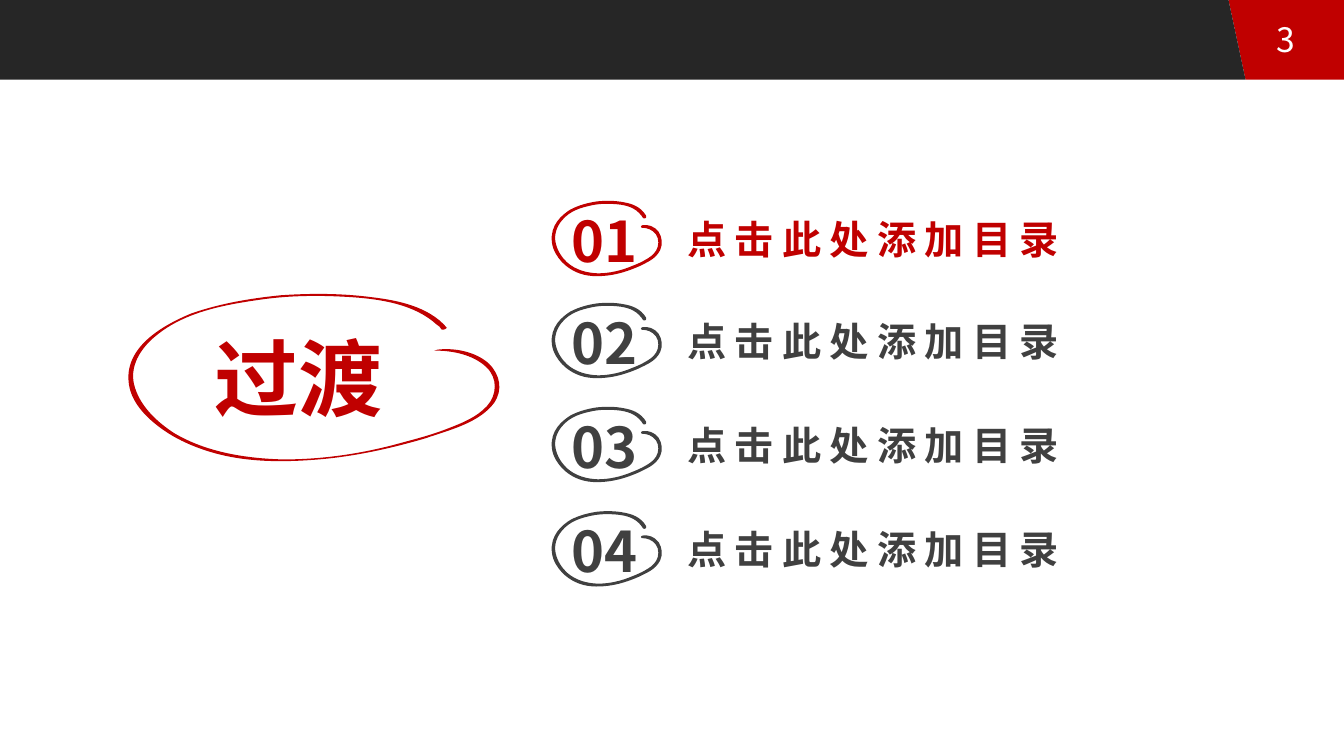
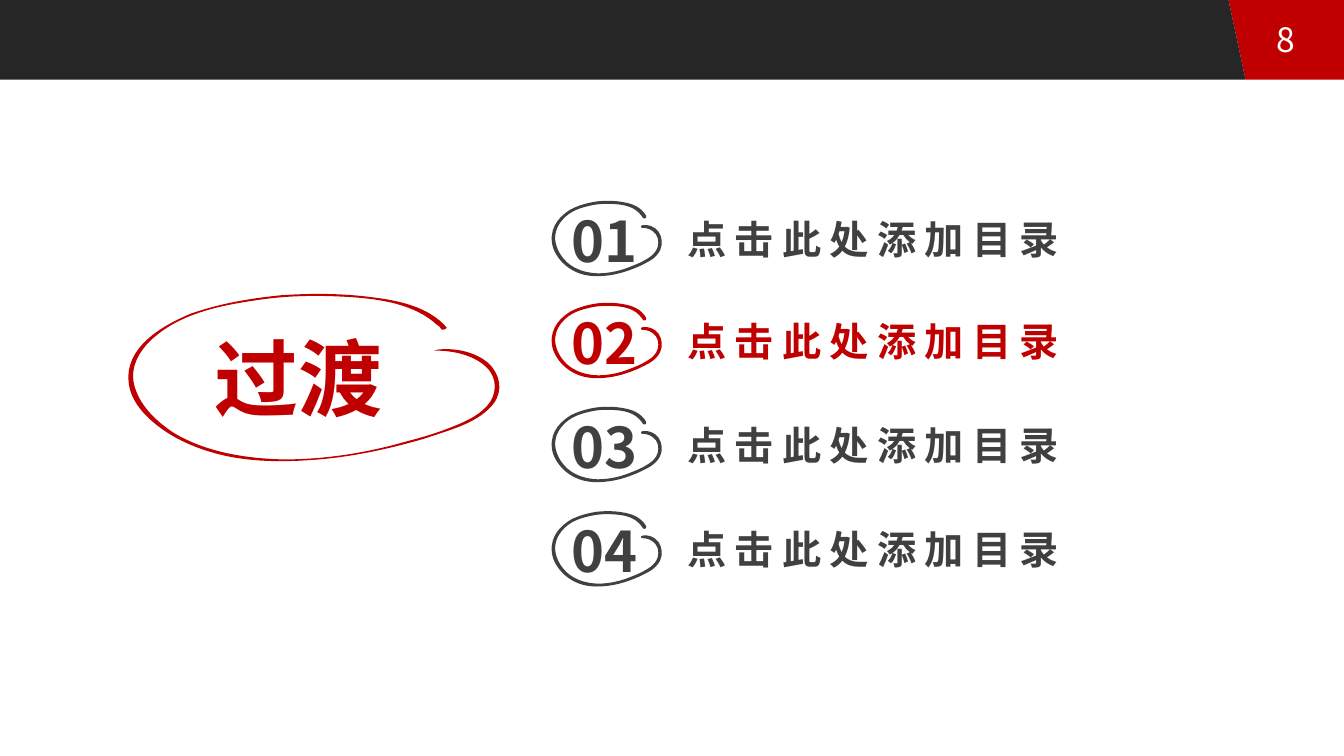
from lxml import etree
from pptx import Presentation
from pptx.dml.color import RGBColor
from pptx.enum import text
from pptx.oxml import ns
from pptx.util import Cm, Pt

# Shared style
RED = RGBColor(0xC0, 0x00, 0x00)
DARK = RGBColor(0x26, 0x26, 0x26)
GRAY = RGBColor(0x40, 0x40, 0x40)
WHITE = RGBColor(0xFF, 0xFF, 0xFF)
FONT = "Noto Sans CJK SC"
WIDTH, HEIGHT = 33.87, 19.05
BAND_HEIGHT, BAND_TOP_END, BAND_BOTTOM_END = 2.01, 30.96, 31.39

# Brush ring on a 377 by 169 grid: start point, then cubic curves
RING_GRID = (377, 169)
RING_START = (321, 34)
RING_CURVES = (
    (303, 13, 272, 7, 247, 4), (217, 0, 187, 0, 157, 2),
    (127, 5, 97, 10, 68, 20), (39, 32, 0, 54, 6, 91),
    (9, 110, 25, 125, 39, 135), (53, 145, 69, 152, 85, 157),
    (120, 168, 158, 168, 194, 165), (230, 162, 266, 154, 300, 144),
    (323, 136, 353, 129, 368, 109), (377, 96, 374, 81, 363, 70),
    (350, 58, 329, 54, 312, 56), (311, 56, 307, 58, 310, 57),
    (327, 57, 347, 61, 360, 73), (372, 84, 371, 101, 361, 112),
    (351, 123, 336, 129, 323, 134), (308, 140, 293, 144, 278, 148),
    (239, 159, 199, 165, 159, 165), (122, 164, 83, 158, 51, 139),
    (34, 128, 18, 113, 12, 94), (5, 73, 18, 54, 33, 42),
    (62, 18, 103, 11, 139, 6), (168, 2, 198, 2, 228, 4),
    (256, 6, 289, 11, 311, 31), (313, 32, 315, 34, 316, 36),
    (317, 37, 322, 35, 321, 34),
)

# Content
SECTIONS = ("点击此处添加目录",) * 4
ROW_TOPS = (5.08, 7.65, 10.27, 12.9)
DIVIDERS = (("3", 0), ("8", 1))  # page number, active section


def add_step(geometry, tag, values=()):
    """Append one drawing step with its x, y pairs to a geometry."""
    step = etree.SubElement(geometry, ns.qn(tag))
    for x, y in zip(values[::2], values[1::2]):
        etree.SubElement(step, ns.qn("a:pt"), x=str(x), y=str(y))


class Deck:
    def __init__(self):
        self.presentation = Presentation()
        self.presentation.slide_width = Cm(WIDTH)
        self.presentation.slide_height = Cm(HEIGHT)
        self.slide = None

    def outline(self, points, color, line_width=None):
        corners = [(Cm(x), Cm(y)) for x, y in points]
        builder = self.slide.shapes.build_freeform(*corners[0], scale=1.0)
        builder.add_line_segments(corners[1:], close=True)
        shape = builder.convert_to_shape()
        shape.shadow.inherit = False
        shape.fill.solid()
        shape.fill.fore_color.rgb = color
        if line_width:
            shape.line.color.rgb = color
            shape.line.width = Pt(line_width)
        else:
            shape.line.fill.background()
        return shape

    def ring(self, left, top, width, height, color, line_width=None):
        right, bottom = left + width, top + height
        shape = self.outline([(left, top), (right, top), (right, bottom),
                              (left, bottom)], color, line_width)
        # Turn the box outline into the curved brush ring
        geometry = next(shape._element.iter(ns.qn("a:path")))
        geometry.clear()
        for name, size in zip("wh", RING_GRID):
            geometry.set(name, str(size))
        add_step(geometry, "a:moveTo", RING_START)
        for curve in RING_CURVES:
            add_step(geometry, "a:cubicBezTo", curve)
        add_step(geometry, "a:close")

    def label(self, box, words, size, color, bold=True, spacing=0,
              wrap=True, centered=False):
        shape = self.slide.shapes.add_textbox(*map(Cm, box))
        frame = shape.text_frame
        frame.word_wrap = wrap
        paragraph = frame.paragraphs[0]
        if centered:
            frame.vertical_anchor = text.MSO_ANCHOR.MIDDLE
            paragraph.alignment = text.PP_ALIGN.CENTER
        else:
            frame.auto_size = text.MSO_AUTO_SIZE.SHAPE_TO_FIT_TEXT
        run = paragraph.add_run()
        run.text = words
        run.font.size = Pt(size)
        run.font.bold = bold
        run.font.color.rgb = color
        run.font.name = FONT
        # East Asian typeface and letter spacing
        properties = run._r.get_or_add_rPr()
        etree.SubElement(properties, ns.qn("a:ea")).set("typeface", FONT)
        if spacing:
            properties.set("spc", str(spacing * 100))

    def new_slide(self, page):
        self.slide = self.presentation.slides.add_slide(
            self.presentation.slide_layouts[6])
        # Header band and page flag
        self.outline([(BAND_TOP_END, 0), (WIDTH, 0), (WIDTH, BAND_HEIGHT),
                      (BAND_BOTTOM_END, BAND_HEIGHT)], RED)
        self.outline([(0, 0), (BAND_TOP_END, 0),
                      (BAND_BOTTOM_END, BAND_HEIGHT), (0, BAND_HEIGHT)], DARK)
        self.label((31.52, 0.48, 1.78, 1.02), page, 24, WHITE,
                   bold=False, centered=True)

    def title(self, words):
        self.ring(3.1, 7.39, 9.58, 4.29, RED)
        self.label((5.16, 8.1, 4.78, 2.82), words, 60, RED, wrap=False)

    def section(self, top, number, words, color):
        self.ring(13.89, top, 2.79, 1.88, color, line_width=1.5)
        self.label((14.15, top, 2.26, 1.96), f"{number:02}", 40, color)
        self.label((17.07, top + 0.21, 12.22, 1.45), words, 28, color,
                   spacing=6)


def main():
    deck = Deck()
    for page, active in DIVIDERS:
        deck.new_slide(page)
        deck.title("过渡")
        # Section list with the active one in red
        for index, (top, words) in enumerate(zip(ROW_TOPS, SECTIONS)):
            deck.section(top, index + 1, words,
                         RED if index == active else GRAY)
    deck.presentation.save("out.pptx")


if __name__ == "__main__":
    main()
